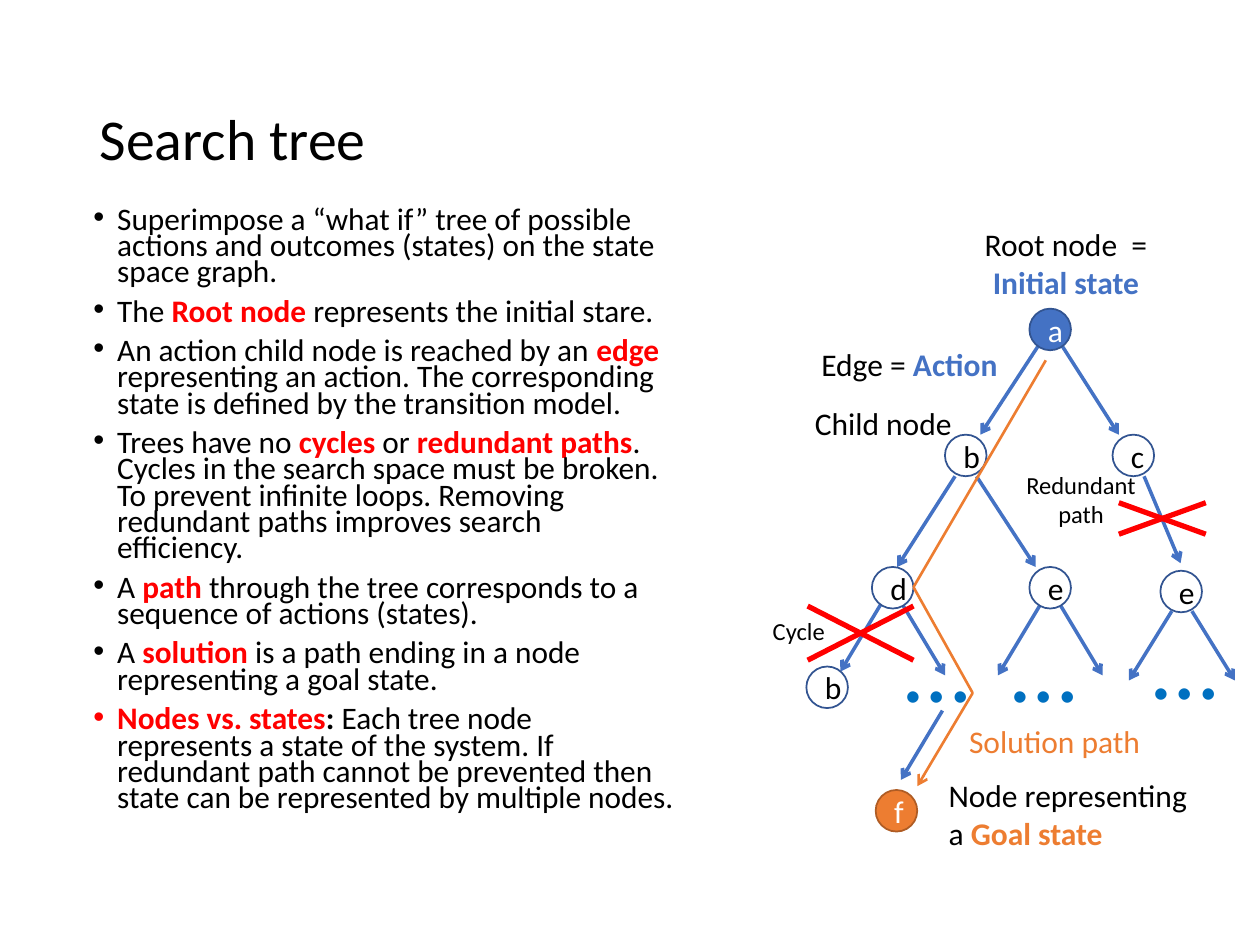
from lxml import etree
from pptx import Presentation
from pptx.dml.color import RGBColor
from pptx.enum.shapes import MSO_CONNECTOR, MSO_SHAPE
from pptx.enum.text import MSO_ANCHOR, MSO_AUTO_SIZE, PP_ALIGN
from pptx.oxml.ns import qn
from pptx.util import Emu, Pt

PX = 9144  # 100 px to the inch
FONT = "Calibri"
BLACK = RGBColor(0x00, 0x00, 0x00)
WHITE = RGBColor(0xFF, 0xFF, 0xFF)
RED = RGBColor(0xFF, 0x00, 0x00)
BLUE = RGBColor(0x44, 0x72, 0xC4)
BLUE_RIM = RGBColor(0x32, 0x54, 0x91)
DOT_BLUE = RGBColor(0x00, 0x70, 0xC0)
ORANGE = RGBColor(0xED, 0x7D, 0x31)
ORANGE_RIM = RGBColor(0xAF, 0x5C, 0x24)
STRAIGHT = MSO_CONNECTOR.STRAIGHT
OVAL = MSO_SHAPE.OVAL
LEFT, CENTER = PP_ALIGN.LEFT, PP_ALIGN.CENTER
MIDDLE, TOP = MSO_ANCHOR.MIDDLE, MSO_ANCHOR.TOP
FIT_SHAPE, NO_FIT = MSO_AUTO_SIZE.SHAPE_TO_FIT_TEXT, MSO_AUTO_SIZE.NONE
NODE_SIZE = 33

# A span is plain text, or (text, colour) for bold coloured text
BULLETS = [
    ["Superimpose a “what if” tree of possible actions and outcomes (states) "
     "on the state space graph."],
    ["The", (" Root node", RED), " represents the initial stare."],
    ["An action child node is reached by an ", ("edge", RED),
     " representing an action. The corresponding state is defined by the transition model."],
    ["Trees have no ", ("cycles ", RED), "or", (" redundant paths", RED),
     ". Cycles in the search space must be broken.  To prevent infinite loops. "
     "Removing redundant paths improves search efficiency."],
    ["A ", ("path", RED), " through the tree corresponds to a sequence of actions (states)."],
    ["A ", ("solution", RED), " is a path ending in a node representing a goal state."],
    [("Nodes vs. states", RED), (": ", BLACK),
     "Each tree node represents a state of the system. If redundant path cannot be "
     "prevented then state can be represented by multiple nodes."],
]

# name: (letter, left, top, fill, rim, letter colour)
NODES = {
    "root": ("a", 250, 71, BLUE, BLUE_RIM, WHITE),
    "goal": ("f", 128, 453, ORANGE, ORANGE_RIM, WHITE),
    "b": ("b", 183, 171, WHITE, BLUE_RIM, BLACK),
    "d": ("d", 125, 276, WHITE, BLUE_RIM, BLACK),
    "c": ("c", 316, 171, WHITE, BLUE_RIM, BLACK),
    "e": ("e", 250, 276, WHITE, BLUE_RIM, BLACK),
    "cycle b": ("b", 73, 355, WHITE, BLUE_RIM, BLACK),
    "redundant e": ("e", 354, 279, WHITE, BLUE_RIM, BLACK),
}
# parent node, start offset in the node, run to the child
EDGES = [
    ("root", (8, 28), (-47, 72)), ("root", (25, 28), (46, 72)),
    ("b", (8, 33), (-46, 72)), ("b", (25, 33), (47, 72)),
    ("c", (25, 33), (29, 69)),
    ("d", (8, 28), (-33, 55)), ("d", (25, 31), (33, 55)),
    ("e", (8, 31), (-33, 55)), ("e", (25, 31), (33, 55)),
    ("redundant e", (9, 32), (-34, 55)), ("redundant e", (25, 32), (34, 55)),
    ("goal", (53, -63), (-33, 55)),
]
# left, top, width, height, size, alignment, wrap, colour, paragraphs
LABELS = [
    (0, 310, 134, 34, 14, CENTER, True, BLACK, [["Cycle"]]),
    (200, 0, 158, 71, 18, CENTER, True, BLACK, [["Root node  = ", ("Initial state", BLUE)]]),
    (67, 142, 134, 40, 18, CENTER, True, BLACK, [["Child node"]]),
    (75, 95, 162, 40, 18, LEFT, False, BLACK, [["Edge = ", ("Action", BLUE)]]),
    (176, 437, 218, 71, 18, LEFT, False, BLACK,
     [["Node representing ", "\n", "a ", ("Goal state", ORANGE)]]),
    (186, 394, 168, 40, 18, CENTER, True, ORANGE, [["Solution path"]]),
    (224, 194, 134, 57, 14, CENTER, True, BLACK, [["Redundant"], ["path"]]),
]
DOTS = [(141, 304), (226, 304), (338, 301)]
CROSSES = [(321, 225, 69, 25), (74, 307, 84, 43)]
SOLUTION = [(263, 112), (158, 292), (205, 376), (161, 450)]


def px(*lengths):
    return [Emu(length * PX) for length in lengths]


def apply(target, **values):
    for name, value in values.items():
        setattr(target, name, value)


def write(frame, paragraphs, size, colour=BLACK, **para_format):
    for index, spans in enumerate(paragraphs):
        para = frame.add_paragraph() if index else frame.paragraphs[0]
        apply(para, **para_format)
        if not index:
            para.space_before = Pt(0)
        for item in spans:
            if item == "\n":
                para.add_line_break()
                continue
            bold = isinstance(item, tuple)
            text, span_colour = item if bold else (item, colour)
            span = para.add_run()
            span.text = text
            apply(span.font, name=FONT, size=Pt(size), bold=bold)
            span.font.color.rgb = span_colour


def add_line(page, start, end, colour, width, arrow=False):
    line = page.shapes.add_connector(STRAIGHT, *px(*start, *end))
    line.line.color.rgb = colour
    line.line.width = Pt(width)
    if arrow:
        etree.SubElement(line.line._get_or_add_ln(), qn("a:tailEnd"), type="arrow")
    etree.SubElement(line._element.spPr, qn("a:effectLst"))


def add_label(page, left, top, width, height, size, align, wrap, colour, paragraphs):
    box = page.shapes.add_textbox(*px(left, top, width, height))
    apply(box.text_frame, word_wrap=wrap, auto_size=FIT_SHAPE)
    write(box.text_frame, paragraphs, size, colour, alignment=align)


def add_node(page, left, top, letter, fill, rim, colour):
    node = page.shapes.add_shape(OVAL, *px(left, top, NODE_SIZE, NODE_SIZE))
    node.shadow.inherit = False
    node.fill.solid()
    node.fill.fore_color.rgb = fill
    node.line.color.rgb = rim
    node.line.width = Pt(1)
    node.text_frame.vertical_anchor = MIDDLE
    write(node.text_frame, [[letter]], 18, colour, alignment=CENTER)


def place(holder, box):
    for name, value in zip(("left", "top", "width", "height"), px(*box)):
        setattr(holder, name, value)


def fill_title(page, box):
    title = page.shapes.title
    place(title, box)
    apply(title.text_frame, vertical_anchor=MIDDLE, auto_size=NO_FIT)
    write(title.text_frame, [["Search tree"]], 33, alignment=LEFT, line_spacing=0.9)


def fill_body(page, box):
    body = page.placeholders[1]
    place(body, box)
    apply(body.text_frame, vertical_anchor=TOP, auto_size=NO_FIT)
    write(body.text_frame, BULLETS, 17.9, line_spacing=0.7, space_before=Pt(7.5))
    indent = 19 * PX
    for para in body.text_frame.paragraphs:
        properties = para._p.get_or_add_pPr()
        properties.set("marL", str(indent))
        properties.set("indent", str(-indent))


def draw_tree(page, box):
    x, y = box[:2]

    # Continuation dots
    for left, top in DOTS:
        add_label(page, x + left, y + top, 74, 101, 54, LEFT, False, DOT_BLUE, [["…"]])

    # Action edges
    for parent, (dx, dy), (run, drop) in EDGES:
        start = x + NODES[parent][1] + dx, y + NODES[parent][2] + dy
        add_line(page, start, (start[0] + run, start[1] + drop), BLUE, 2, arrow=True)

    # Labels and state nodes
    for left, top, *rest in LABELS:
        add_label(page, x + left, y + top, *rest)
    for letter, left, top, *colours in NODES.values():
        add_node(page, x + left, y + top, letter, *colours)

    # Crossed-out branches
    for left, top, width, height in CROSSES:
        left, top = x + left, y + top
        right, bottom = left + width, top + height
        add_line(page, (left, top), (right, bottom), RED, 3)
        add_line(page, (right, top), (left, bottom), RED, 3)

    # Solution path, with an arrowhead on its last leg
    points = [(x + dx, y + dy) for dx, dy in SOLUTION]
    for start, end in zip(points, points[1:]):
        add_line(page, start, end, ORANGE, 1.5, arrow=end == points[-1])


def main():
    deck = Presentation()
    deck.slide_width, deck.slide_height = px(1000, 750)
    page = deck.slides.add_slide(deck.slide_layouts[1])
    fill_title(page, (69, 40, 862, 145))
    fill_body(page, (64, 161, 481, 539))
    draw_tree(page, (567, 174, 419, 508))
    deck.save("out.pptx")


if __name__ == "__main__":
    main()
